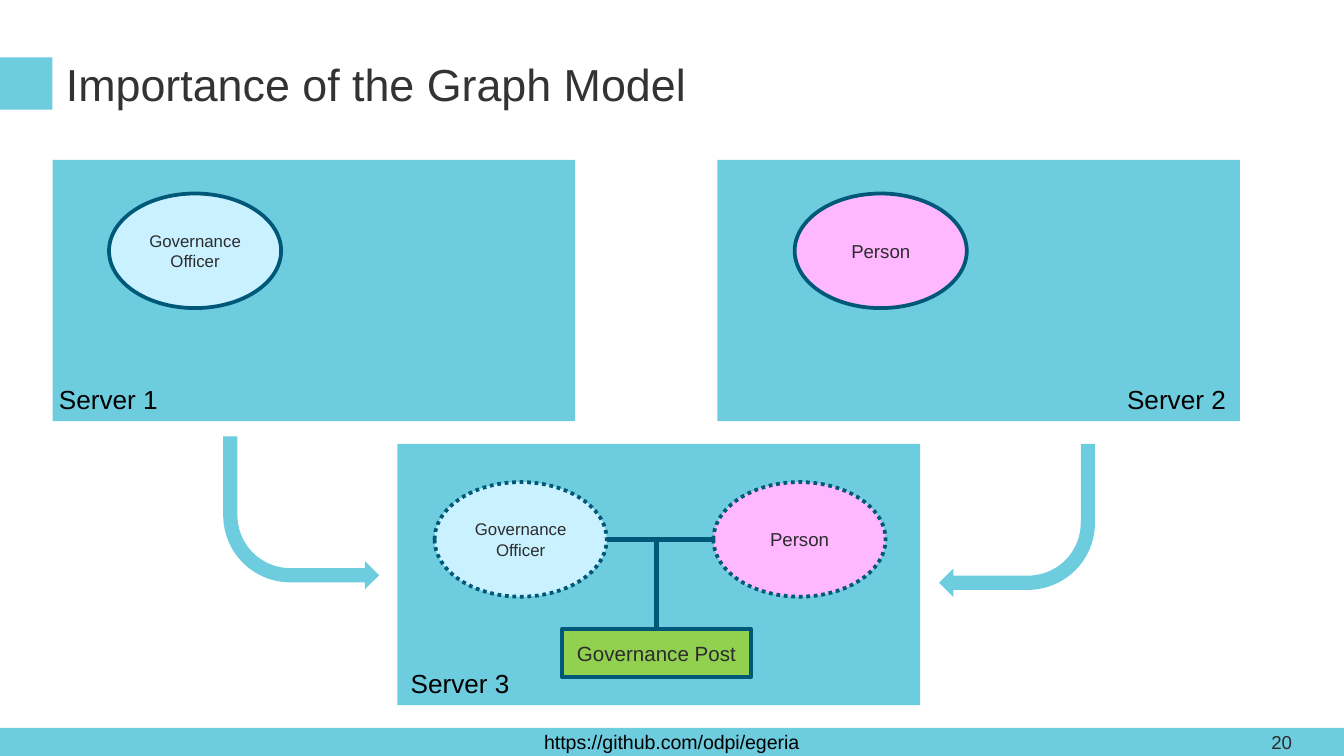
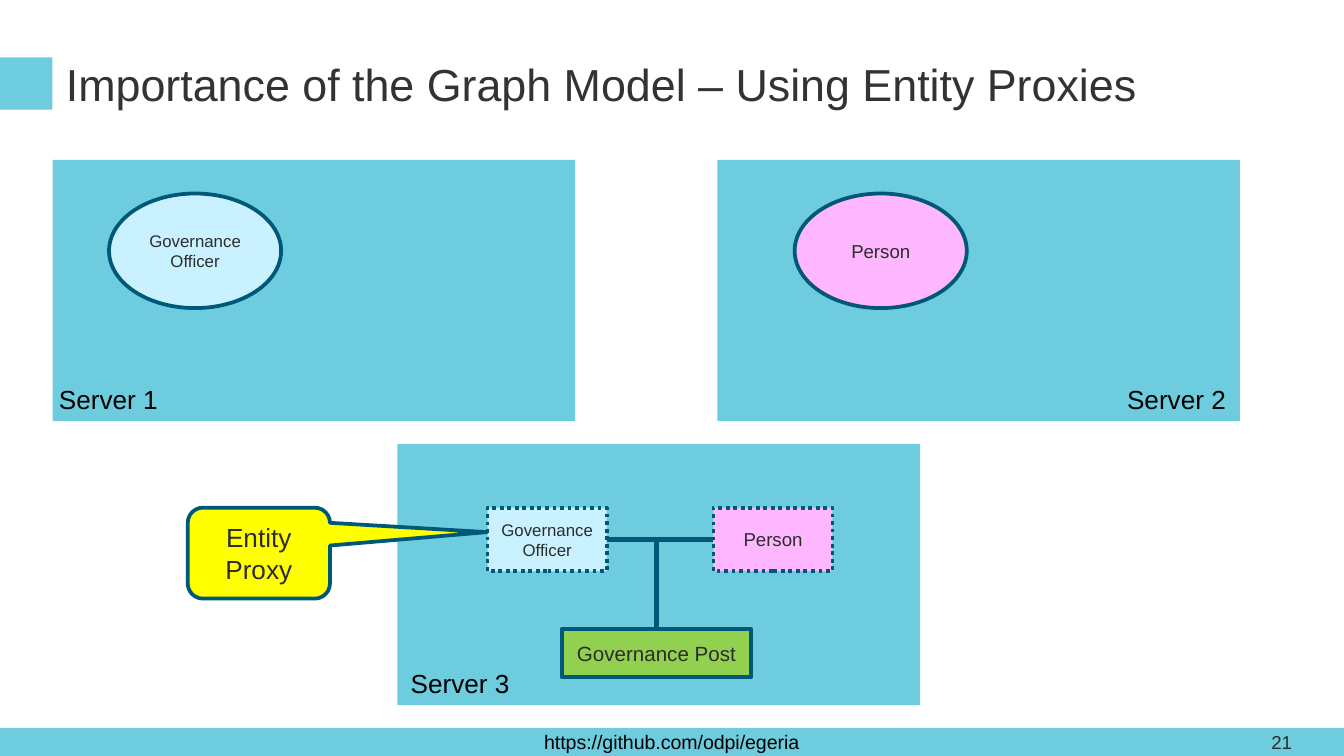
from lxml.etree import SubElement
from pptx import Presentation
from pptx.dml.color import RGBColor
from pptx.enum.dml import MSO_LINE as Dash
from pptx.enum.shapes import MSO_CONNECTOR as Link, MSO_SHAPE as Geo
from pptx.enum.text import MSO_ANCHOR as Anchor, MSO_AUTO_SIZE as Fit, PP_ALIGN as Align
from pptx.oxml.ns import qn
from pptx.util import Pt

FONT = "Arial"
TEAL, NAVY, INK, TITLE_INK, BLACK = "6DCCDE", "005878", "2C2C2C", "333333", "000000"
SKY, PINK, GREEN, YELLOW = "C9F1FF", "FFB7FF", "92D050", "FFFF00"
WIDTH, HEIGHT, FOOTER_TOP = 720, 405, 390
SERVER_SIZE = (280, 140)
ENTITY_SIZE = (92.2, 61.4)
PROXY_SIZE = (63.8, 34)
LINK_Y, LINK_LEFT, LINK_RIGHT = 289, 325, 382.2

# Name, fill and text size of the two entities
OFFICER = ("Governance Officer", SKY, 9)
PERSON = ("Person", PINK, 10)


def color(hex_code):
    return RGBColor.from_string(hex_code)


class Deck:
    def __init__(self):
        self.prs = Presentation()
        self.prs.slide_width, self.prs.slide_height = Pt(WIDTH), Pt(HEIGHT)
        self.slide = None

    def start(self, title, number):
        """Add a slide with its title, marker and footer band."""
        self.slide = self.prs.slides.add_slide(self.prs.slide_layouts[5])
        heading = self.slide.shapes.title
        heading.left, heading.top, heading.width, heading.height = map(Pt, (28.1, 23, 667.4, 44.6))
        self.add_text(heading.text_frame, [title], 24, TITLE_INK, Align.LEFT, Anchor.TOP, inset=7.2)
        footer = self.shape(Geo.RECTANGLE, (0, FOOTER_TOP, WIDTH, HEIGHT - FOOTER_TOP), TEAL)
        self.add_text(footer.text_frame, ["https://github.com/odpi/egeria"], 10.5, BLACK)
        self.shape(Geo.RECTANGLE, (0, 30.7, 28.1, 28.1), TEAL)
        page = self.slide.shapes.add_textbox(*map(Pt, (674, FOOTER_TOP, 43, 15)))
        self.add_text(page.text_frame, [str(number)], 10, INK, Align.LEFT, inset=7.2)

    def add_text(self, frame, lines, size, ink, align=Align.CENTER, anchor=Anchor.MIDDLE,
                 inset=3.6, wrap=True):
        frame.word_wrap = wrap
        frame.auto_size = Fit.NONE if wrap else Fit.SHAPE_TO_FIT_TEXT
        frame.vertical_anchor = anchor
        frame.margin_left = frame.margin_right = Pt(7.2)
        frame.margin_top = frame.margin_bottom = Pt(inset)
        for i, line in enumerate(lines):
            paragraph = frame.add_paragraph() if i else frame.paragraphs[0]
            paragraph.alignment = align
            run = paragraph.add_run()
            run.text = line
            run.font.name, run.font.size = FONT, Pt(size)
            run.font.color.rgb = color(ink)

    def shape(self, geo, box, fill, outline=False, dotted=False, adjust=()):
        shape = self.slide.shapes.add_shape(geo, *map(Pt, box))
        shape.shadow.inherit = False
        shape.fill.solid()
        shape.fill.fore_color.rgb = color(fill)
        if outline:
            shape.line.color.rgb = color(NAVY)
            shape.line.width = Pt(2)
            if dotted:
                shape.line.dash_style = Dash.ROUND_DOT
        else:
            shape.line.fill.background()
        for i, value in enumerate(adjust):
            shape.adjustments[i] = value
        return shape

    def node(self, geo, box, fill, lines, size, **style):
        node = self.shape(geo, box, fill, outline=True, **style)
        self.add_text(node.text_frame, lines, size, INK)
        return node

    def entity(self, entity, left, top, geo=Geo.OVAL, size=ENTITY_SIZE, dotted=False):
        name, fill, text_size = entity
        return self.node(geo, (left, top, *size), fill, [name], text_size, dotted=dotted)

    def server(self, name, left, top, label_left, label_top):
        self.shape(Geo.RECTANGLE, (left, top, *SERVER_SIZE), TEAL)
        label = self.slide.shapes.add_textbox(*map(Pt, (label_left, label_top, 67.5, 24.2)))
        self.add_text(label.text_frame, [name], 14, BLACK, Align.LEFT, Anchor.TOP, wrap=False)

    def flow_arrow(self, left, top):
        return self.shape(Geo.BENT_ARROW, (left, top, 83.5, 82), TEAL,
                          adjust=(0.093, 0.093, 0.093, 0.438))

    def line(self, x1, y1, x2, y2):
        line = self.slide.shapes.add_connector(Link.STRAIGHT, *map(Pt, (x1, y1, x2, y2)))
        line.line.color.rgb = color(NAVY)
        line.line.width = Pt(2.25)
        SubElement(line.element.spPr, qn("a:effectLst"))
        return line

    def servers(self):
        """Three servers, with the source entities on the first two."""
        self.server("Server 1", 28.2, 85.7, 24.5, 201.8)
        self.server("Server 2", 384.3, 85.7, 596.7, 201.8)
        self.server("Server 3", 212.9, 237.8, 212.9, 353.8)
        self.entity(OFFICER, 58.4, 103.7)
        self.entity(PERSON, 425.7, 103.7)

    def relationship(self):
        """Governance post hanging from the link between the entities."""
        post = self.node(Geo.RECTANGLE, (301, 337, 101.4, 25.8), GREEN, ["Governance Post"], 11)
        link = self.line(LINK_LEFT, LINK_Y, LINK_RIGHT, LINK_Y)
        stem = self.line(351.7, LINK_Y, 351.7, 337)
        stem.end_connect(post, 0)
        return link


def graph_model(deck):
    deck.start("Importance of the Graph Model", 20)
    deck.servers()
    # Flows into the third server
    from_first = deck.flow_arrow(119.6, 233.8)
    from_first.element.spPr.find(qn("a:xfrm")).set("flipV", "1")
    from_second = deck.flow_arrow(503.1, 237.8)
    from_second.rotation = 180
    # Copies of the entities
    top = LINK_Y - ENTITY_SIZE[1] / 2
    deck.entity(OFFICER, LINK_LEFT - ENTITY_SIZE[0], top, dotted=True)
    deck.entity(PERSON, LINK_RIGHT, top, dotted=True)
    deck.relationship()


def entity_proxies(deck):
    deck.start("Importance of the Graph Model – Using Entity Proxies", 21)
    deck.servers()
    # Proxies joined by the relationship
    top = LINK_Y - PROXY_SIZE[1] / 2
    proxy = {"geo": Geo.RECTANGLE, "size": PROXY_SIZE, "dotted": True}
    officer = deck.entity(OFFICER, LINK_LEFT - PROXY_SIZE[0], top, **proxy)
    person = deck.entity(PERSON, LINK_RIGHT, top, **proxy)
    link = deck.relationship()
    link.begin_connect(officer, 3)
    link.end_connect(person, 1)
    # Explanation
    deck.node(Geo.ROUNDED_RECTANGULAR_CALLOUT, (100.6, 272, 76.2, 48.7), YELLOW,
              ["Entity", "Proxy"], 14, adjust=(1.604, -0.231, 0.167))


def main():
    deck = Deck()
    graph_model(deck)
    entity_proxies(deck)
    deck.prs.save("out.pptx")


if __name__ == "__main__":
    main()
